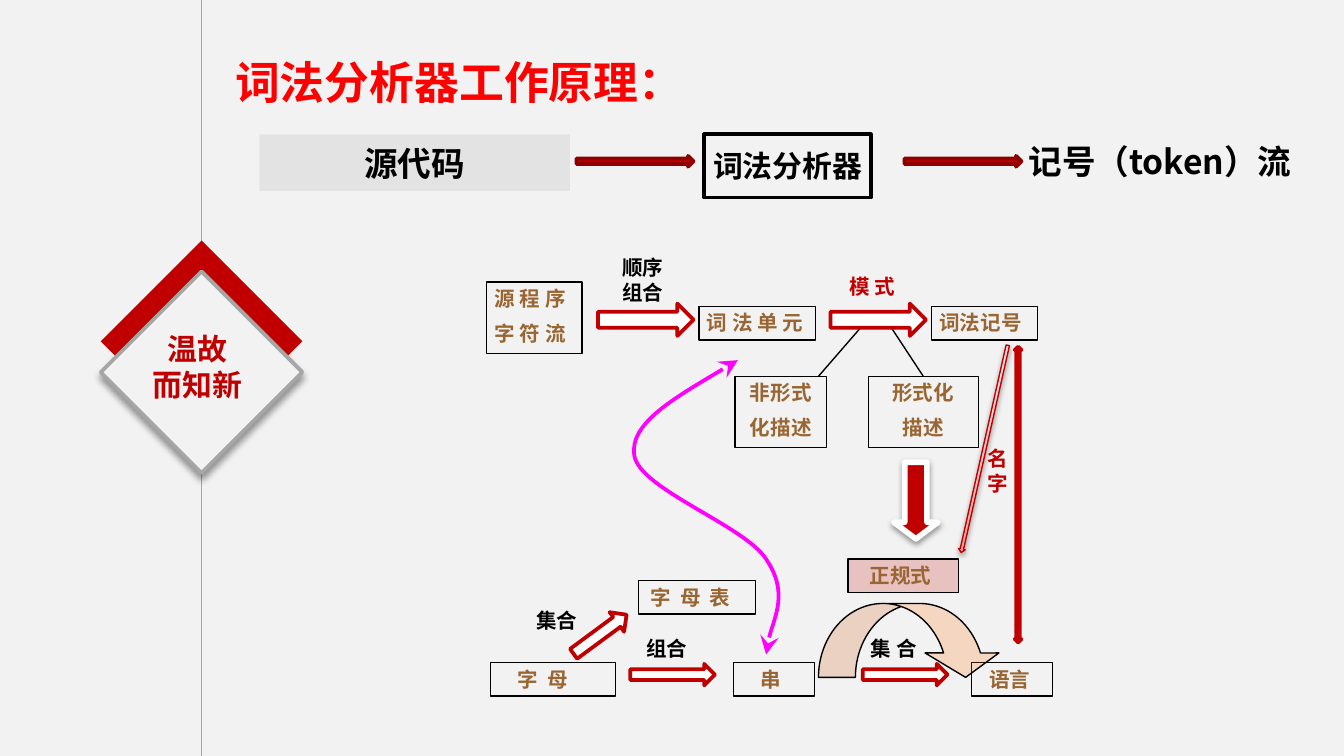
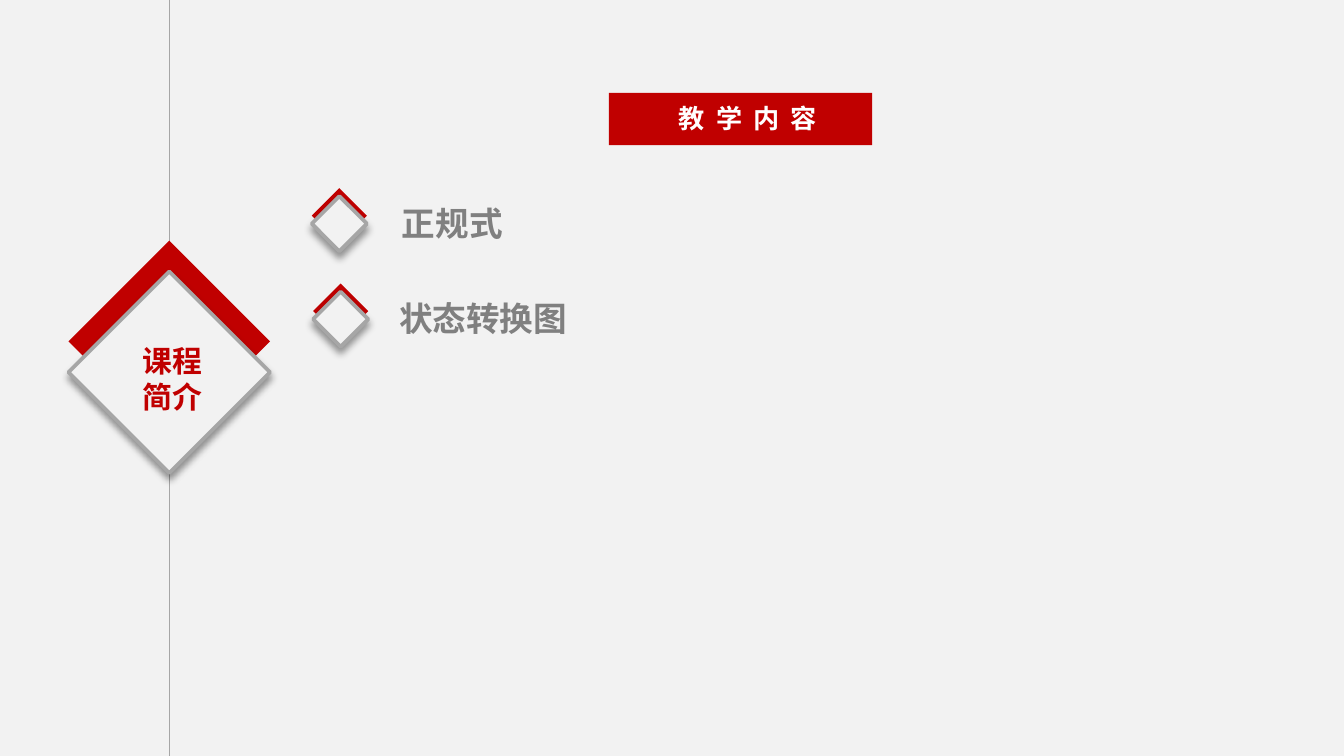
import copy
import dataclasses

import lxml.etree
import pptx
import pptx.dml.color
import pptx.enum.dml
import pptx.enum.shapes
import pptx.enum.text
import pptx.oxml.ns
import pptx.util

Inches = pptx.util.Inches
Pt = pptx.util.Pt
qn = pptx.oxml.ns.qn
SHAPE = pptx.enum.shapes.MSO_SHAPE
ALIGN = pptx.enum.text.PP_ALIGN
ANCHOR = pptx.enum.text.MSO_ANCHOR
PAGE_WIDTH = 10
PAGE_HEIGHT = PAGE_WIDTH * 9 / 16


@dataclasses.dataclass(frozen=True)
class Theme:
    font: str = "Noto Sans CJK SC"
    paper: str = "F2F2F2"
    red: str = "C00000"
    dark_red: str = "8E0000"
    edge_red: str = "BC0000"
    title_red: str = "FF0000"
    gray: str = "A6A6A6"
    source_gray: str = "AFABAB"
    item_gray: str = "808080"
    brown: str = "996633"
    orange: str = "FF6600"
    magenta: str = "FF00FF"
    black: str = "000000"
    white: str = "FFFFFF"
    pinks: tuple = ((0, "FFA0A0"), (0.35, "FFBCBC"), (1, "FFE5E5"))
    title_size: int = 24
    item_size: int = 18
    label_size: int = 16
    banner_size: int = 14
    node_size: int = 11
    line_height: float = 1.2


THEME = Theme()
NODE = {"size": THEME.node_size, "color": THEME.brown}
CAPTION = {"size": THEME.node_size, "color": THEME.black}
RED_CAPTION = {"size": THEME.node_size, "color": THEME.red}
STAGE = {"size": THEME.item_size, "color": THEME.black}
LABEL = {"size": THEME.label_size, "color": THEME.red}
TIGHT = (0.06, 0.03)
MEDIUM = (0.07, 0.04)
LOOSE = (0.1, 0.05)


def rgb(value):
    return pptx.dml.color.RGBColor.from_string(value)


def set_all(target, values):
    for name, value in values.items():
        setattr(target, name, value)


def add_child(parent, tag, **attributes):
    child = lxml.etree.SubElement(parent, qn(tag))
    for name, value in attributes.items():
        child.set(name, str(value))
    return child


def write(box, lines, size, color, align=ALIGN.LEFT, inset=TIGHT, pad=None,
          anchor=ANCHOR.TOP, wrap=True, spacing=0, gap=0, leading=1, indent=None):
    side, top = inset
    frame = box.text_frame
    set_all(frame, {
        "auto_size": pptx.enum.text.MSO_AUTO_SIZE.NONE,
        "word_wrap": wrap,
        "vertical_anchor": anchor,
        "margin_left": Inches(side if pad is None else pad),
        "margin_right": Inches(side),
        "margin_top": Inches(top),
        "margin_bottom": Inches(top),
    })
    for index, line in enumerate(lines):
        para = frame.add_paragraph() if index else frame.paragraphs[0]
        if indent is not None:
            para.level = 1
            properties = para._p.get_or_add_pPr()
            properties.set("marL", str(Inches(indent)))
            properties.set("indent", "0")
            add_child(properties, "a:buNone")
        set_all(para, {
            "alignment": align,
            "space_before": Pt(gap if index else 0),
            "line_spacing": Pt(size * THEME.line_height * leading),
        })
        span = para.add_run()
        span.text = line
        set_all(span.font, {"size": Pt(size), "bold": True, "name": THEME.font})
        span.font.color.rgb = rgb(color)
        properties = span._r.get_or_add_rPr()
        add_child(properties, "a:ea", typeface=THEME.font)
        if spacing:
            properties.set("spc", str(round(spacing * 100)))


def add_shadow(shape, alpha, blur, distance):
    effects = shape._element.spPr.find(qn("a:effectLst"))
    outer = add_child(effects, "a:outerShdw", blurRad=Pt(blur), dist=Pt(distance),
                      dir=90 * 60000, algn="t", rotWithShape=0)
    shade = add_child(outer, "a:srgbClr", val=THEME.black)
    add_child(shade, "a:alpha", val=alpha * 1000)


def paint(shape, fill=None, opacity=None, line=None, width=0.75):
    shape.shadow.inherit = False
    if fill:
        shape.fill.solid()
        shape.fill.fore_color.rgb = rgb(fill)
        if opacity:
            color = shape._element.spPr.find(qn("a:solidFill")).find(qn("a:srgbClr"))
            add_child(color, "a:alpha", val=opacity * 1000)
    else:
        shape.fill.background()
    if line:
        shape.line.color.rgb = rgb(line)
        shape.line.width = Pt(width)
    else:
        shape.line.fill.background()


def add_block(page, kind, at, rotation=0, **style):
    shape = page.shapes.add_shape(kind, *map(Inches, at))
    shape.rotation = rotation
    paint(shape, **style)
    return shape


def add_node(page, at, lines, fill=None, opacity=None, **text):
    box = add_block(page, SHAPE.RECTANGLE, at, fill=fill, opacity=opacity, line=THEME.black)
    write(box, lines, **NODE, gap=THEME.node_size / 2, **text)
    return box


def add_text(page, at, lines, **text):
    box = page.shapes.add_textbox(*map(Inches, at))
    write(box, lines, **text)


def place(page, holder, at, lines, **text):
    set_all(holder, dict(zip(("left", "top", "width", "height"), map(Inches, at))))
    write(holder, lines, **text)
    page.shapes._spTree.append(holder._element)


def add_line(page, start, end, color, target=None):
    connector = page.shapes.add_connector(
        pptx.enum.shapes.MSO_CONNECTOR.STRAIGHT, *map(Inches, start + end))
    connector.line.color.rgb = rgb(color)
    connector.line.width = Pt(0.75)
    add_child(connector._element.spPr, "a:effectLst")
    if target:
        connector.end_connect(target, 0)


def add_curve(page, points, color):
    points = [(Inches(x), Inches(y)) for x, y in points]
    builder = page.shapes.build_freeform(*points[0])
    builder.add_line_segments(points[1:], close=False)
    curve = builder.convert_to_shape()
    paint(curve, line=color, width=2)
    segments = list(curve._element.iter(qn("a:lnTo")))
    for first in range(0, len(segments), 3):
        bezier = lxml.etree.Element(qn("a:cubicBezTo"))
        segments[first].addprevious(bezier)
        for segment in segments[first:first + 3]:
            bezier.append(segment[0])
            segment.getparent().remove(segment)
    outline = curve._element.spPr.find(qn("a:ln"))
    for tag in ("a:headEnd", "a:tailEnd"):
        add_child(outline, tag, type="stealth", w="lg", len="lg")


def add_diamond(page, left, top, size, drop):
    add_block(page, SHAPE.FLOWCHART_DECISION, (left, top, size, size), fill=THEME.red)
    front = add_block(page, SHAPE.FLOWCHART_DECISION, (left, top + drop, size, size),
                      fill=THEME.paper, line=THEME.gray, width=2)
    add_shadow(front, 40, 4, 3)


def add_side_mark(page, center, label_at, lines):
    add_line(page, (center, 0), (center, PAGE_HEIGHT), THEME.gray)
    add_diamond(page, center - 0.75, 1.79, 1.5, 0.23)
    add_text(page, label_at, lines, **LABEL, align=ALIGN.CENTER, inset=MEDIUM, wrap=False)


def add_pipeline(page):
    middle = {"align": ALIGN.CENTER, "inset": LOOSE, "anchor": ANCHOR.MIDDLE, "wrap": False}
    lexer = add_block(page, SHAPE.RECTANGLE, (5.24, 1, 1.24, 0.47), line=THEME.black, width=2)
    write(lexer, ["词法分析器"], THEME.label_size, THEME.black, **middle)
    add_text(page, (7.44, 1, 2.38, 0.47), ["记号（token）流"], **STAGE,
             align=ALIGN.CENTER, inset=LOOSE)
    source = add_block(page, SHAPE.RECTANGLE, (1.93, 1, 2.31, 0.42),
                       fill=THEME.source_gray, opacity=20)
    write(source, ["源代码"], **STAGE, **middle)
    for left in (4.29, 6.73):
        add_block(page, SHAPE.RIGHT_ARROW, (left, 1.16, 0.87, 0.08),
                  fill=THEME.red, line=THEME.dark_red, width=2)


def add_concept_map(page):
    add_node(page, (3.62, 2.1, 0.71, 0.53), ["源 程 序", "字 符 流"])
    add_node(page, (5.2, 2.28, 0.87, 0.25), ["词 法 单 元"])
    add_node(page, (6.93, 2.28, 0.79, 0.25), ["词法记号"])
    add_node(page, (5.47, 2.8, 0.68, 0.53), ["非形式", "化描述"], align=ALIGN.CENTER)
    formal = add_node(page, (6.46, 2.8, 0.82, 0.53), ["形式化", "描述"], align=ALIGN.CENTER)
    add_line(page, (6.42, 2.42), (6.09, 2.8), THEME.black)
    add_line(page, (6.62, 2.42), (6.87, 2.8), THEME.black, formal)

    down = add_block(page, SHAPE.DOWN_ARROW, (6.65, 3.44, 0.33, 0.57),
                     fill=THEME.red, line=THEME.white, width=3)
    down.adjustments[1] = 0.375
    add_shadow(down, 38, 3.1, 1.6)

    add_node(page, (6.31, 4.16, 0.82, 0.25), ["正规式"], fill=THEME.red, opacity=20, pad=0.16)
    add_node(page, (3.65, 4.93, 0.93, 0.25), ["字 母"], pad=0.2, spacing=1.2)
    add_node(page, (5.46, 4.93, 0.6, 0.25), ["串"], pad=0.2)
    add_node(page, (7.23, 4.93, 0.6, 0.25), ["语言"], pad=0.13)
    add_node(page, (4.75, 4.32, 0.87, 0.25), ["字 母 表"], pad=0.09, spacing=1.2)

    arc = add_block(page, SHAPE.CURVED_DOWN_ARROW, (6.09, 4.49, 1.37, 0.55),
                    fill=THEME.orange, opacity=20, line=THEME.black)
    for index, value in enumerate((0.5, 1, 0.33)):
        arc.adjustments[index] = value

    captions = [
        ("顺序组合", (4.57, 1.87, 0.55, 0.43)),
        ("组合", (4.75, 4.7, 0.55, 0.25)),
        ("集 合", (6.42, 4.7, 0.55, 0.25)),
        ("集合", (3.93, 4.49, 0.55, 0.25)),
    ]
    for caption, at in captions:
        add_text(page, at, [caption], **CAPTION)
    add_text(page, (6.22, 2.01, 0.55, 0.25), ["模 式"], **RED_CAPTION, pad=0.1)
    add_text(page, (7.29, 3.29, 0.25, 0.43), ["名字"], **RED_CAPTION)

    add_curve(page, [(5.49, 2.68), (5.09, 2.92), (4.68, 3.15), (4.72, 3.39),
                     (4.76, 3.64), (5.54, 3.91), (5.7, 4.16),
                     (5.87, 4.41), (5.7, 4.74), (5.7, 4.87)], THEME.magenta)


def add_map_arrows(page):
    arrows = [
        (SHAPE.RIGHT_ARROW, (6.18, 2.26, 0.71, 0.24), 0),
        (SHAPE.RIGHT_ARROW, (4.45, 2.26, 0.71, 0.24), 0),
        (SHAPE.RIGHT_ARROW, (4.22, 4.63, 0.49, 0.18), 323.6),
        (SHAPE.RIGHT_ARROW, (6.42, 4.94, 0.63, 0.16), 0),
        (SHAPE.RIGHT_ARROW, (4.69, 4.94, 0.63, 0.16), 0),
        (SHAPE.UP_DOWN_ARROW, (7.55, 2.58, 0.05, 2.2), 0),
    ]
    for kind, at, rotation in arrows:
        add_block(page, kind, at, rotation, fill=THEME.white, line=THEME.red, width=2)
    name_arrow = add_block(page, SHAPE.DOWN_ARROW, (7.3, 2.55, 0.05, 1.58), 12.7,
                           line=THEME.edge_red)
    name_arrow.fill.gradient()
    name_arrow.fill.gradient_angle = 90
    stops = next(name_arrow._element.iter(qn("a:gsLst")))
    stops.insert(1, copy.deepcopy(stops[0]))
    for stop, (position, color) in zip(name_arrow.fill.gradient_stops, THEME.pinks):
        stop.position = position
        stop.color.rgb = rgb(color)
    add_shadow(name_arrow, 38, 3.1, 1.6)


def build_review(deck):
    page = deck.slides.add_slide(deck.slide_layouts.get_by_name("Title Only"))
    add_side_mark(page, 1.5, (1.06, 2.42, 0.82, 0.61), ["温故", "而知新"])
    place(page, page.shapes.title, (1.69, 0.38, 3.58, 0.47), ["词法分析器工作原理："],
          size=THEME.title_size, color=THEME.title_red)
    add_pipeline(page)
    add_concept_map(page)
    add_map_arrows(page)


def build_contents(deck):
    page = deck.slides.add_slide(deck.slide_layouts.get_by_name("Two Content"))
    add_side_mark(page, 1.26, (0.99, 2.51, 0.59, 0.61), ["课程", "简介"])
    topics = [
        ("正规式", (2.42, 1.47, 3.52, 0.37), (2.32, 1.4), 1),
        ("状态转换图", (2.4, 2.03, 6.45, 0.5), (2.33, 2.11), 1.5),
    ]
    for index, (topic, at, corner, leading) in enumerate(topics, start=1):
        place(page, page.placeholders[index], at, [topic], size=THEME.item_size,
              color=THEME.item_gray, inset=MEDIUM, indent=0.5, leading=leading)
        add_diamond(page, *corner, 0.41, 0.06)
    add_block(page, SHAPE.RECTANGLE, (4.53, 0.69, 1.96, 0.39), fill=THEME.red)
    place(page, page.shapes.title, (4.65, 0.69, 1.83, 0.38), ["教学内容"],
          size=THEME.banner_size, color=THEME.white, align=ALIGN.CENTER,
          inset=MEDIUM, anchor=ANCHOR.MIDDLE, spacing=6)


def main():
    deck = pptx.Presentation()
    set_all(deck, {"slide_width": Inches(PAGE_WIDTH), "slide_height": Inches(PAGE_HEIGHT)})
    backdrop = deck.slide_master.background.fill
    backdrop.solid()
    backdrop.fore_color.rgb = rgb(THEME.paper)
    build_review(deck)
    build_contents(deck)
    deck.save("out.pptx")


if __name__ == "__main__":
    main()
